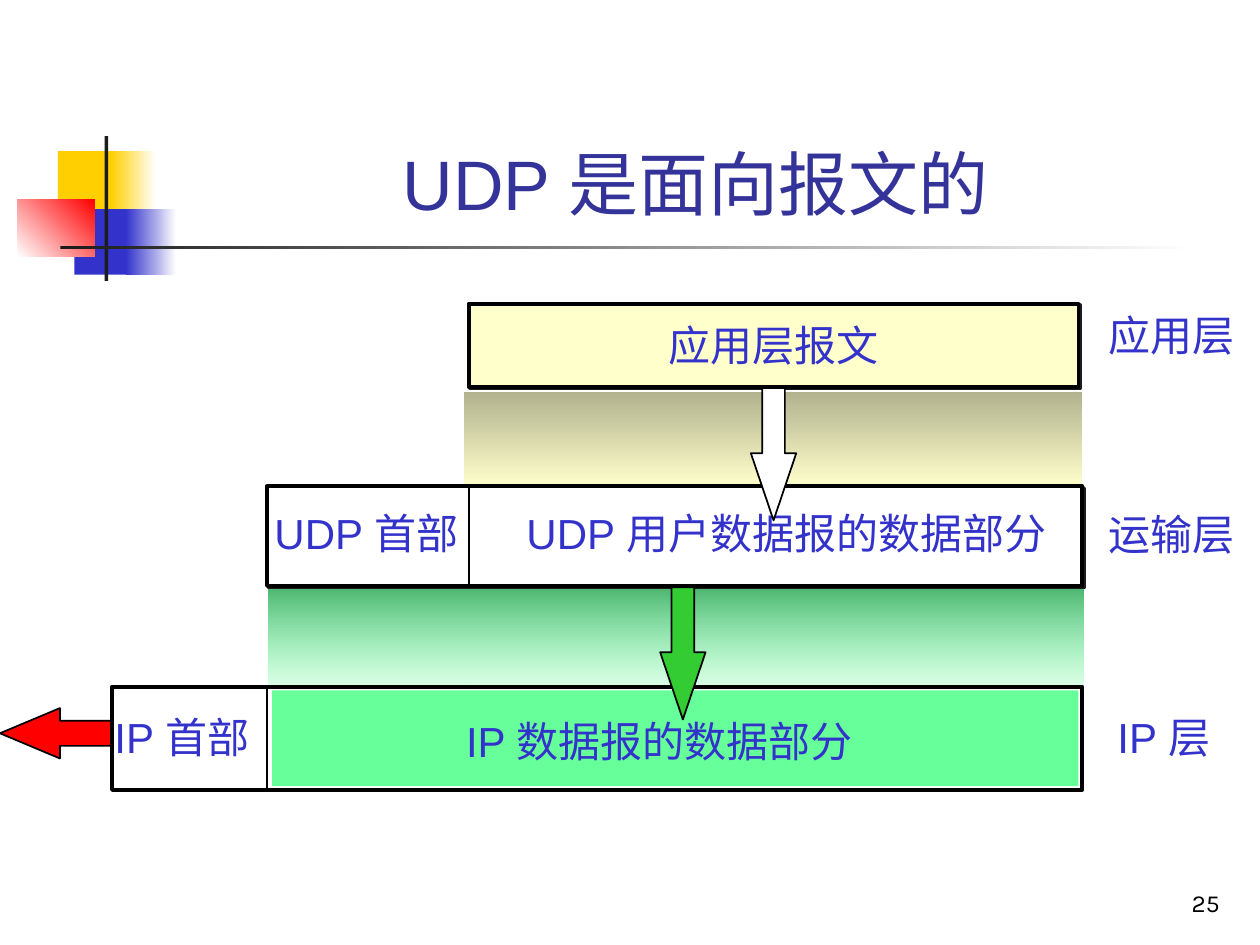
from dataclasses import dataclass
from typing import Any, Optional

from lxml.etree import SubElement
from pptx import Presentation
from pptx.dml.color import RGBColor as Rgb
from pptx.enum.shapes import MSO_CONNECTOR as Connector, MSO_SHAPE as Preset
from pptx.enum.text import MSO_ANCHOR as Anchor, MSO_AUTO_SIZE as AutoSize, PP_ALIGN as Align
from pptx.oxml.ns import qn
from pptx.util import Emu, Pt

EMU_PER_PX = 9144


@dataclass(frozen=True)
class Theme:
    white: str = "FFFFFF"
    black: str = "000000"
    ink: str = "1C1C1C"
    gold: str = "FFCF01"
    blue: str = "3333CC"
    title: str = "333399"
    red: str = "FF0000"
    cream: str = "FFFFCC"
    olive: str = "B2B28E"
    mint: str = "66FF99"
    moss: str = "47B26B"
    green: str = "33CC33"
    font: str = "Arial"
    number_font: str = "Karla"
    title_size: int = 40
    label_size: int = 24
    number_size: int = 14
    frame_width: float = 2.25
    thin_width: float = 1


THEME = Theme()


@dataclass(frozen=True)
class Box:
    left: int
    top: int
    width: int
    height: int


@dataclass(frozen=True)
class Fade:
    start: str
    end: str
    angle: int = 0
    start_alpha: int = 100


@dataclass(frozen=True)
class Block:
    box: Box
    fill: str | Fade
    line_width: float = 0
    shadow: bool = False
    preset: Preset = Preset.RECTANGLE
    head_ratio: Optional[float] = None


@dataclass(frozen=True)
class Label:
    box: Box
    text: str
    size: int = THEME.label_size
    color: str = THEME.blue
    font: str = THEME.font
    align: Align = Align.LEFT
    anchor: Anchor = Anchor.TOP
    wrap: bool = False


@dataclass(frozen=True)
class Divider:
    left: int
    top: int
    bottom: int


def px(length: int) -> Emu:
    return Emu(length * EMU_PER_PX)


def place(box: Box) -> tuple[Emu, ...]:
    return tuple(px(n) for n in (box.left, box.top, box.width, box.height))


def apply_format(target: Any, values: dict[str, Any]) -> None:
    for attribute, value in values.items():
        setattr(target, attribute, value)


def paint(fill: Any, paint_value: str | Fade) -> None:
    if isinstance(paint_value, str):
        fill.solid()
        fill.fore_color.rgb = Rgb.from_string(paint_value)
        return
    fill.gradient()
    fill.gradient_angle = paint_value.angle
    for stop, color in zip(fill.gradient_stops, (paint_value.start, paint_value.end)):
        stop.color.rgb = Rgb.from_string(color)
    if paint_value.start_alpha < 100:
        first_color = next(fill._xPr.iter(qn("a:srgbClr")))
        SubElement(first_color, qn("a:alpha"), val=str(paint_value.start_alpha * 1000))


def draw_block(shapes: Any, block: Block) -> None:
    shape = shapes.add_shape(block.preset, *place(block.box))
    shape.shadow.inherit = False
    paint(shape.fill, block.fill)
    if block.line_width:
        paint(shape.line.fill, THEME.black)
        shape.line.width = Pt(block.line_width)
    else:
        shape.line.fill.background()
    if block.head_ratio is not None:
        shape.adjustments[0] = 0.5
        shape.adjustments[1] = block.head_ratio
    if block.shadow:
        effects = shape._element.spPr.find(qn("a:effectLst"))
        cast = SubElement(effects, qn("a:outerShdw"), dist=str(Pt(1.4)), dir="2700000")
        SubElement(cast, qn("a:srgbClr"), val=THEME.ink)


def draw_label(shapes: Any, label: Label) -> None:
    frame = shapes.add_textbox(*place(label.box)).text_frame
    grows = label.anchor == Anchor.TOP
    apply_format(frame, {
        "word_wrap": label.wrap,
        "vertical_anchor": label.anchor,
        "auto_size": AutoSize.SHAPE_TO_FIT_TEXT if grows else AutoSize.NONE,
    })
    paragraph = frame.paragraphs[0]
    paragraph.alignment = label.align
    run = paragraph.add_run()
    run.text = label.text
    apply_format(run.font, {"name": label.font, "size": Pt(label.size)})
    run.font.color.rgb = Rgb.from_string(label.color)


def draw_divider(shapes: Any, divider: Divider) -> None:
    rule = shapes.add_connector(Connector.STRAIGHT, px(divider.left), px(divider.top),
                                px(divider.left), px(divider.bottom))
    paint(rule.line.fill, THEME.black)
    rule.line.width = Pt(THEME.thin_width)
    SubElement(rule._element.spPr, qn("a:effectLst"))


T = THEME
DECORATION = [
    Block(Box(46, 120, 48, 52), T.gold),
    Block(Box(88, 120, 36, 52), Fade(T.gold, T.white)),
    Block(Box(59, 166, 46, 52), T.blue),
    Block(Box(100, 166, 40, 52), Fade(T.blue, T.white)),
    Block(Box(14, 158, 61, 46), Fade(T.white, T.red, 45)),
    Block(Box(83, 108, 3, 115), T.ink),
    Block(Box(48, 195, 900, 3), Fade(T.ink, T.white)),
]
LAYERS = [
    Block(Box(0, 562, 94, 40), T.red, T.thin_width, preset=Preset.LEFT_ARROW, head_ratio=1.19),
    Block(Box(213, 464, 647, 84), Fade(T.mint, T.moss, 90, 20)),
    Block(Box(368, 311, 491, 75), Fade(T.olive, T.cream, 270)),
    Block(Box(212, 386, 647, 79), T.white, T.frame_width, shadow=True),
    Block(Box(89, 545, 770, 82), T.white, T.frame_width),
    Block(Box(216, 548, 640, 76), T.mint),
    Block(Box(372, 241, 484, 66), T.cream, T.frame_width, shadow=True),
]
DIVIDERS = [Divider(372, 386, 465), Divider(212, 545, 627)]
LABELS = [
    Label(Box(126, 23, 852, 160), "UDP 是面向报文的", T.title_size, T.title,
          align=Align.CENTER, anchor=Anchor.BOTTOM, wrap=True),
    Label(Box(372, 241, 484, 66), "应用层报文", align=Align.CENTER, anchor=Anchor.MIDDLE),
    Label(Box(870, 241, 120, 50), "应用层"),
    Label(Box(208, 398, 174, 50), "UDP 首部"),
    Label(Box(408, 398, 441, 50), "UDP 用户数据报的数据部分"),
    Label(Box(870, 399, 120, 50), "运输层"),
    Label(Box(81, 560, 135, 50), "IP 首部"),
    Label(Box(360, 563, 335, 50), "IP 数据报的数据部分"),
    Label(Box(877, 560, 102, 50), "IP 层"),
    Label(Box(770, 683, 208, 50), "25", T.number_size, T.black, T.number_font,
          Align.RIGHT, Anchor.BOTTOM, True),
]
DOWNWARD = [
    Block(Box(left, top, 36, 105), color, T.thin_width, preset=Preset.DOWN_ARROW, head_ratio=1.48)
    for left, top, color in ((524, 466, T.green), (596, 308, T.white))
]


def main() -> None:
    deck = Presentation()
    apply_format(deck, {"slide_width": px(1000), "slide_height": px(750)})
    shapes = deck.slides.add_slide(deck.slide_layouts[6]).shapes
    for draw, parts in ((draw_block, DECORATION + LAYERS), (draw_divider, DIVIDERS),
                        (draw_label, LABELS), (draw_block, DOWNWARD)):
        for part in parts:
            draw(shapes, part)
    deck.save("out.pptx")


if __name__ == "__main__":
    main()
